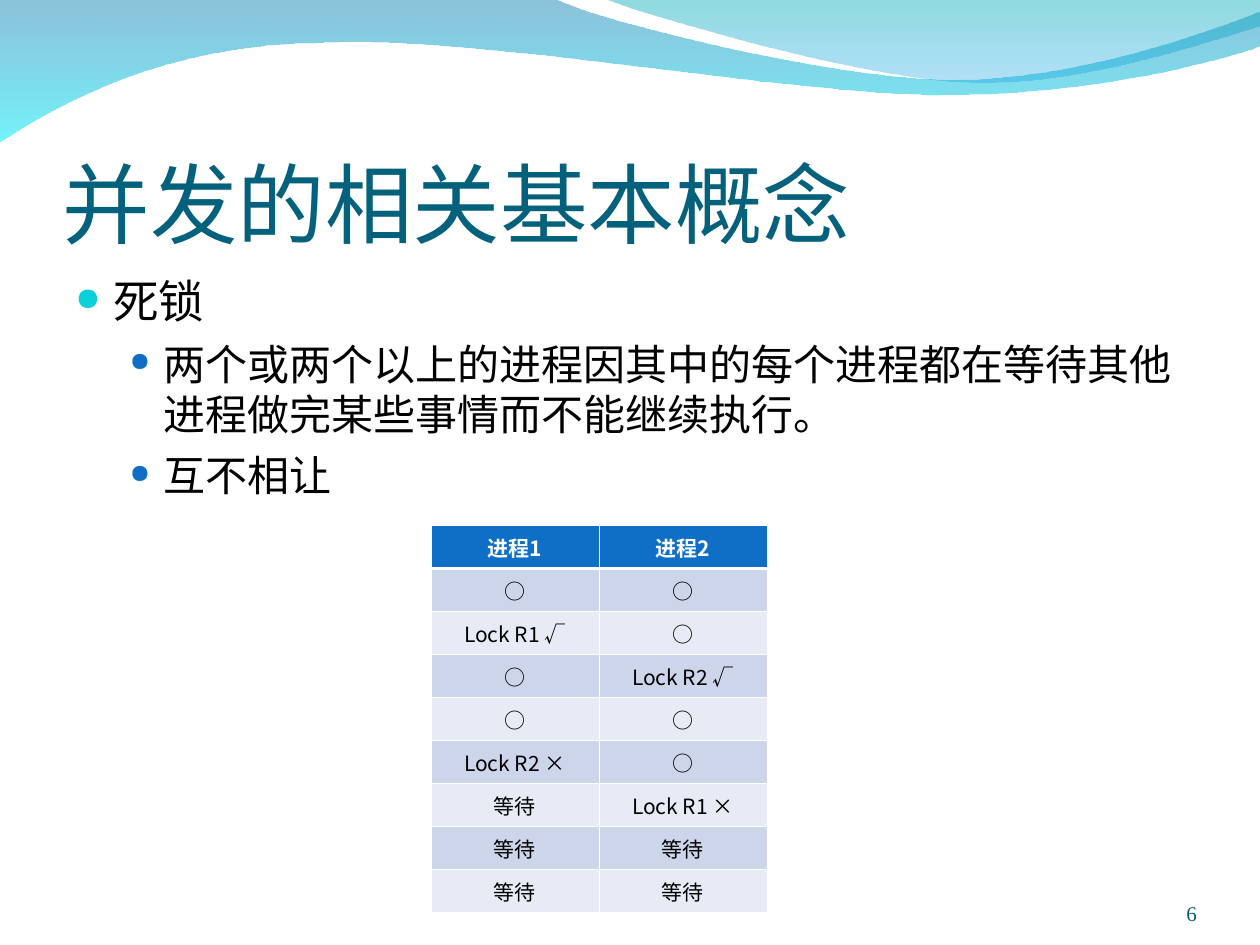
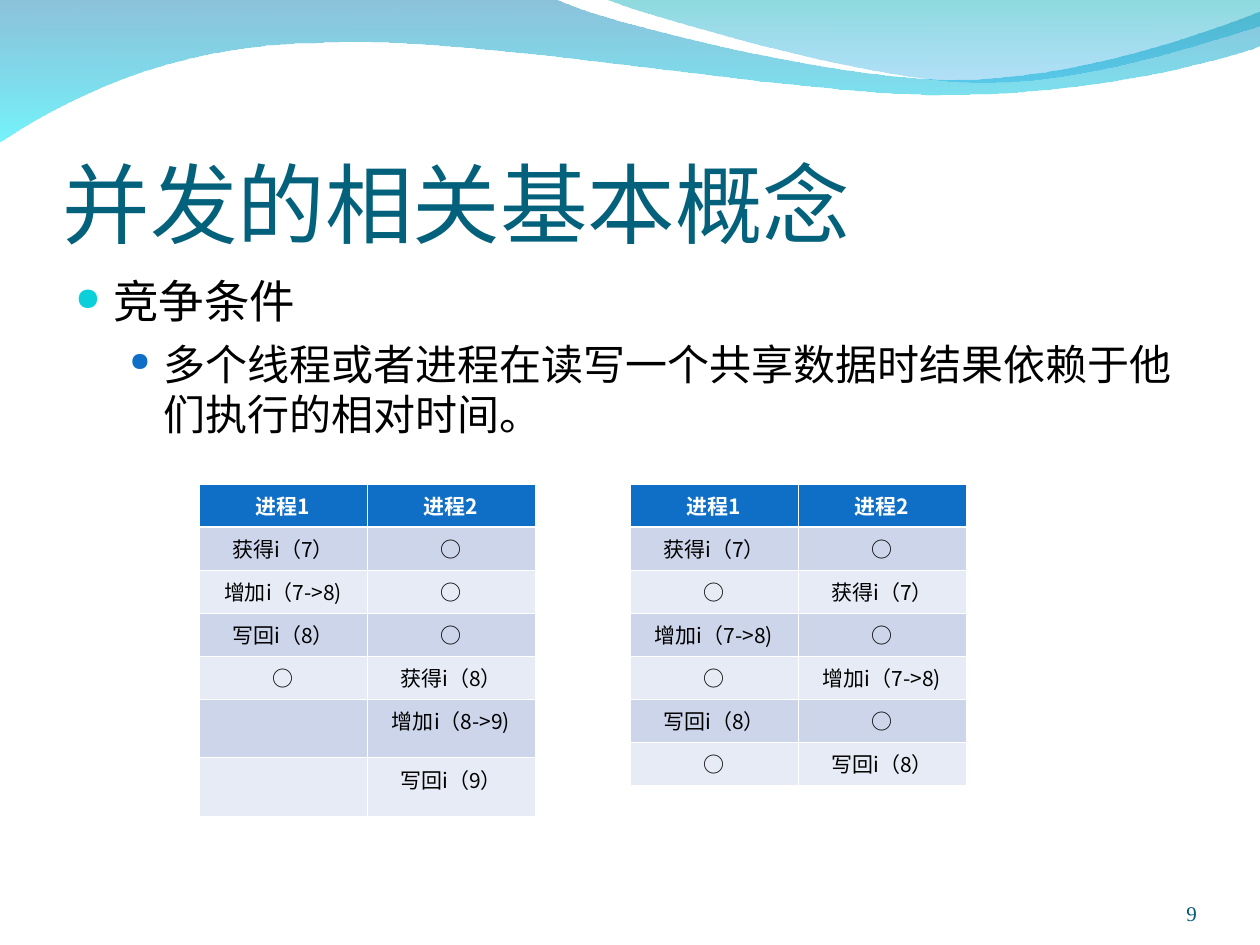
from lxml import etree
from pptx import Presentation
from pptx.dml.color import RGBColor
from pptx.enum.text import MSO_ANCHOR, PP_ALIGN
from pptx.oxml.ns import qn
from pptx.util import Inches, Pt

BOTTOM, TOP = MSO_ANCHOR.BOTTOM, MSO_ANCHOR.TOP
LEFT, CENTER, RIGHT = PP_ALIGN.LEFT, PP_ALIGN.CENTER, PP_ALIGN.RIGHT

WHITE = RGBColor(0xFF, 0xFF, 0xFF)
BLACK = RGBColor(0x00, 0x00, 0x00)
TITLE_TEAL = RGBColor(0x04, 0x61, 0x7B)
NUMBER_TEAL = RGBColor(0x04, 0x5C, 0x75)
CYAN = RGBColor(0x0B, 0xD0, 0xD9)
BLUE = RGBColor(0x0F, 0x6F, 0xC6)
ROW_DARK = RGBColor(0xCC, 0xD5, 0xEA)
ROW_LIGHT = RGBColor(0xE7, 0xEB, 0xF5)

TITLE_FONT, BODY_FONT, NUMBER_FONT = "Calibri", "Cambria", "Times New Roman"
CJK_FONT = "Noto Sans CJK SC"

TITLE = "并发的相关基本概念"
HEADER = ("进程1", "进程2")
SLIDES = [
    {
        "number": 6,
        "bullets": [
            (0, "死锁"),
            (1, "两个或两个以上的进程因其中的每个进程都在等待其他进程做完某些事情而不能继续执行。"),
            (1, "互不相让"),
        ],
        "tables": [
            (3.42, 4.17, [
                ("○", "○"),
                ("Lock R1 √", "○"),
                ("○", "Lock R2 √"),
                ("○", "○"),
                ("Lock R2 ×", "○"),
                ("等待", "Lock R1 ×"),
                ("等待", "等待"),
                ("等待", "等待"),
            ]),
        ],
    },
    {
        "number": 9,
        "bullets": [
            (0, "竞争条件"),
            (1, "多个线程或者进程在读写一个共享数据时结果依赖于他们执行的相对时间。"),
        ],
        "tables": [
            (1.58, 3.84, [
                ("获得i（7）", "○"),
                ("增加i（7->8)", "○"),
                ("写回i（8）", "○"),
                ("○", "获得i（8）"),
                ("", "增加i（8->9)"),
                ("", "写回i（9）"),
            ]),
            (5, 3.84, [
                ("获得i（7）", "○"),
                ("○", "获得i（7）"),
                ("增加i（7->8)", "○"),
                ("○", "增加i（7->8)"),
                ("写回i（8）", "○"),
                ("○", "写回i（8）"),
            ]),
        ],
    },
]

# Each wave segment holds one point for a line or three for a cubic curve.
WAVES = [
    {
        "start": (0, -0.01),
        "segments": [
            [(4.4, -0.01)],
            [(4.76, 0.17), (6.64, 0.63), (7.58, 0.63)],
            [(8.53, 0.63), (9.58, 0.26), (10, 0.09)],
            [(10.01, 0.36)],
            [(9.83, 0.44), (8.7, 0.76), (7.46, 0.75)],
            [(6.22, 0.75), (3.82, 0.28), (2.57, 0.34)],
            [(1.29, 0.35), (0.46, 0.83), (-0.01, 1.13)],
        ],
        "stops": [(RGBColor(0x00, 0x79, 0xAF), 45), (RGBColor(0x00, 0xEB, 0xF8), 55)],
    },
    {
        "start": (4.79, -0.01),
        "segments": [
            [(5.09, 0.11), (6.82, 0.62), (7.69, 0.65)],
            [(8.56, 0.69), (9.61, 0.32), (10, 0.21)],
            [(10, 0)],
        ],
        "stops": [(RGBColor(0x00, 0xAD, 0xB6), 45), (RGBColor(0x00, 0x9B, 0xE5), 30)],
    },
]

SLIDE_WIDTH, SLIDE_HEIGHT = 10, 7.5
MARGIN = 0.5
CONTENT_WIDTH = SLIDE_WIDTH - 2 * MARGIN
NUMBER_WIDTH = 0.83
COLUMN_WIDTH = 4 / 3
ROW_POINTS, TALL_ROW_POINTS = 24.6, 33.5
THIN, THICK = 0.45, 1.47

LEVELS = [
    {"size": 26, "indent": 0.3, "hang": 0.3, "before": 6.5, "color": CYAN, "scale": 70},
    {"size": 24, "indent": 0.7, "hang": 0.27, "before": 6, "color": BLUE, "scale": 62},
]


def add_element(parent, tag, **attributes):
    element = etree.SubElement(parent, qn(tag))
    for name, value in attributes.items():
        element.set(name, str(value))
    return element


def style_paragraph(paragraph, font_name, size, color, align=LEFT, bold=False):
    paragraph.alignment = align
    for run in paragraph.runs:
        run.font.name = font_name
        run.font.size = Pt(size)
        run.font.bold = bold
        run.font.color.rgb = color
        add_element(run.font._element, "a:ea", typeface=CJK_FONT)


def bend_segments(shape, segments):
    lines = list(shape._element.spPr.iter(qn("a:lnTo")))
    for line, segment in zip(lines, segments):
        if len(segment) == 3:
            curve = etree.Element(qn("a:cubicBezTo"))
            for x, y in segment:
                add_element(curve, "a:pt", x=Inches(x) - shape.left, y=Inches(y) - shape.top)
            line.getparent().replace(line, curve)


def add_wave(slide, wave):
    builder = slide.shapes.build_freeform(*map(Inches, wave["start"]))
    ends = [tuple(map(Inches, segment[-1])) for segment in wave["segments"]]
    builder.add_line_segments(ends, close=True)
    shape = builder.convert_to_shape()
    bend_segments(shape, wave["segments"])
    shape.shadow.inherit = False
    shape.line.fill.background()
    shape.fill.gradient()
    shape.fill.gradient_angle = 270
    for stop, (color, _) in zip(shape.fill.gradient_stops, wave["stops"]):
        stop.color.rgb = color
    colors = shape._element.spPr.iter(qn("a:srgbClr"))
    for element, (_, opacity) in zip(colors, wave["stops"]):
        add_element(element, "a:alpha", val=opacity * 1000)


def add_text_box(slide, left, top, width, height, anchor=TOP, insets=(0.1, 0.05, 0.1, 0.05)):
    box = slide.shapes.add_textbox(*map(Inches, (left, top, width, height)))
    frame = box.text_frame
    frame.word_wrap = True
    frame.vertical_anchor = anchor
    (frame.margin_left, frame.margin_top,
     frame.margin_right, frame.margin_bottom) = map(Inches, insets)
    return frame


def add_bullets(slide, bullets):
    frame = add_text_box(slide, MARGIN, 2.12, CONTENT_WIDTH, 4.8)
    for index, (level, text) in enumerate(bullets):
        paragraph = frame.add_paragraph() if index else frame.paragraphs[0]
        paragraph.text = text
        paragraph.level = level
        look = LEVELS[level]
        if index:
            paragraph.space_before = Pt(look["before"])
        properties = paragraph._p.get_or_add_pPr()
        properties.set("marL", str(Inches(look["indent"])))
        properties.set("indent", str(-Inches(look["hang"])))
        bullet_color = add_element(properties, "a:buClr")
        add_element(bullet_color, "a:srgbClr", val=look["color"])
        add_element(properties, "a:buSzPct", val=look["scale"] * 1000)
        add_element(properties, "a:buChar", char="●")
        style_paragraph(paragraph, BODY_FONT, look["size"], BLACK)


def set_borders(cell, top, bottom):
    properties = cell._tc.get_or_add_tcPr()
    for side, width in (("L", THIN), ("R", THIN), ("T", top), ("B", bottom)):
        line = add_element(properties, f"a:ln{side}", w=Pt(width))
        add_element(add_element(line, "a:solidFill"), "a:srgbClr", val=WHITE)


def add_process_table(slide, left, top, body):
    rows = [HEADER, *body]
    heights = [Pt(ROW_POINTS if all(row) else TALL_ROW_POINTS) for row in rows]
    frame = slide.shapes.add_table(len(rows), len(HEADER), Inches(left), Inches(top),
                                   Inches(COLUMN_WIDTH * len(HEADER)), sum(heights))
    for row_index, row in enumerate(rows):
        frame.table.rows[row_index].height = heights[row_index]
        is_header = row_index == 0
        row_fill = BLUE if is_header else (ROW_LIGHT, ROW_DARK)[row_index % 2]
        for column_index, text in enumerate(row):
            cell = frame.table.cell(row_index, column_index)
            set_borders(cell, THICK if row_index == 1 else THIN, THICK if is_header else THIN)
            cell.fill.solid()
            cell.fill.fore_color.rgb = row_fill
            if text:
                cell.text_frame.text = text
                style_paragraph(cell.text_frame.paragraphs[0], CJK_FONT, 12,
                                WHITE if is_header else BLACK, CENTER, is_header)


def add_slide(presentation, content):
    slide = presentation.slides.add_slide(presentation.slide_layouts[6])
    for wave in WAVES:
        add_wave(slide, wave)

    title = add_text_box(slide, MARGIN, 0.77, CONTENT_WIDTH, 1.25, BOTTOM, (0, 0.05, 0, 0))
    title.text = TITLE
    style_paragraph(title.paragraphs[0], TITLE_FONT, 50, TITLE_TEAL)

    add_bullets(slide, content["bullets"])

    number_left = SLIDE_WIDTH - MARGIN - NUMBER_WIDTH
    number = add_text_box(slide, number_left, 6.95, NUMBER_WIDTH, 0.4, BOTTOM, (0, 0, 0, 0))
    number.text = str(content["number"])
    style_paragraph(number.paragraphs[0], NUMBER_FONT, 12, NUMBER_TEAL, RIGHT)

    for table in content["tables"]:
        add_process_table(slide, *table)


def main():
    presentation = Presentation()
    presentation.slide_width = Inches(SLIDE_WIDTH)
    presentation.slide_height = Inches(SLIDE_HEIGHT)
    for content in SLIDES:
        add_slide(presentation, content)
    presentation.save("out.pptx")


if __name__ == "__main__":
    main()
